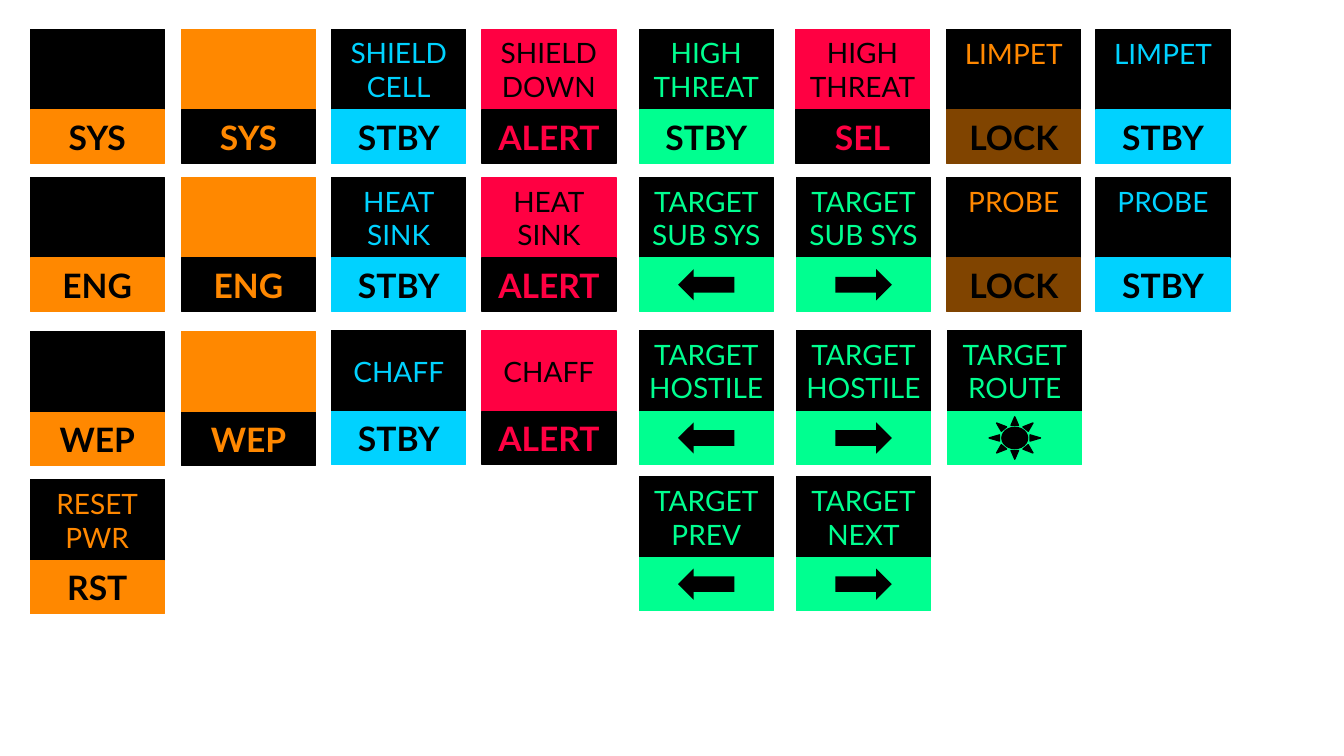
from pptx import Presentation
from pptx.dml.color import RGBColor
from pptx.enum import shapes, text
from pptx.util import Inches, Pt

HUES = {
    "black": "000000",
    "orange": "FF8800",
    "brown": "804400",
    "blue": "00D2FF",
    "red": "FF0042",
    "green": "00FF90",
}
FONT = "Lato"
WIDE, HEAD, FOOT = 1.33, 0.8, 0.53
KIND = shapes.MSO_SHAPE
ICONS = {
    "left": (KIND.LEFT_ARROW, 0.56, 0.31, 0, False),
    "right": (KIND.LEFT_ARROW, 0.56, 0.31, 180, False),
    "sun": (KIND.SUN, 0.51, 0.42, 0, True),
}

POWER_ROWS = (0.29, 1.76, 3.29, 4.76)
ROWS = (0.29, 1.76, 3.28, 4.73)

# head text, foot text or icon name
COLUMNS = [
    (0.3, POWER_ROWS, "black", "orange", "orange",
     [("", "SYS"), ("", "ENG"), ("", "WEP"), ("RESET\nPWR", "RST")]),
    (1.8, POWER_ROWS, "orange", "black", "black",
     [("", "SYS"), ("", "ENG"), ("", "WEP")]),
    (3.29, ROWS, "black", "blue", "blue",
     [("SHIELD\nCELL", "STBY"), ("HEAT\nSINK", "STBY"), ("CHAFF", "STBY")]),
    (4.78, ROWS, "red", "black", "black",
     [("SHIELD\nDOWN", "ALERT"), ("HEAT\nSINK", "ALERT"), ("CHAFF", "ALERT")]),
    (6.34, ROWS, "black", "green", "green",
     [("HIGH\nTHREAT", "STBY"), ("TARGET\nSUB SYS", "left"),
      ("TARGET\nHOSTILE", "left"), ("TARGET\nPREV", "left")]),
    (7.89, ROWS[:1], "red", "black", "black", [("HIGH\nTHREAT", "SEL")]),
    (7.9, ROWS[1:], "black", "green", "green",
     [("TARGET\nSUB SYS", "right"), ("TARGET\nHOSTILE", "right"),
      ("TARGET\nNEXT", "right")]),
    (9.39, ROWS, "black", "brown", "orange",
     [("LIMPET", "LOCK"), ("PROBE", "LOCK")]),
    (9.4, ROWS[2:], "black", "green", "green", [("TARGET\nROUTE", "sun")]),
    (10.87, ROWS, "black", "blue", "blue",
     [("LIMPET", "STBY"), ("PROBE", "STBY")]),
]
RAISED = ("LIMPET", "PROBE")


def paint(shape, hue, line=True):
    color = RGBColor.from_string(HUES[hue])
    shape.shadow.inherit = False
    shape.fill.solid()
    shape.fill.fore_color.rgb = color
    if line:
        shape.line.color.rgb = color
        shape.line.width = Pt(1)
    else:
        shape.line.fill.background()


def write(shape, words, size, hue, bold=False, raised=False):
    frame = shape.text_frame
    frame.word_wrap = True
    frame.margin_left = frame.margin_right = 0
    frame.vertical_anchor = text.MSO_ANCHOR.MIDDLE
    if raised:
        frame.vertical_anchor = text.MSO_ANCHOR.TOP
        frame.margin_top = Inches(0.07)
    para = frame.paragraphs[0]
    para.text = words.replace("\n", "\v")
    para.alignment = text.PP_ALIGN.CENTER
    for run in para.runs:
        run.font.name = FONT
        run.font.size = Pt(size)
        run.font.bold = bold
        run.font.color.rgb = RGBColor.from_string(HUES[hue])


def panel(group, x, y, high, hue):
    shape = group.shapes.add_shape(
        KIND.RECTANGLE, Inches(x), Inches(y), Inches(WIDE), Inches(high))
    paint(shape, hue)
    return shape


def icon(group, x, y, name):
    kind, wide, high, turn, line = ICONS[name]
    shape = group.shapes.add_shape(
        kind, Inches(x + (WIDE - wide) / 2), Inches(y + (FOOT - high) / 2),
        Inches(wide), Inches(high))
    shape.rotation = turn
    paint(shape, "black", line)


def button(slide, x, y, top, base, tone, label, state):
    group = slide.shapes.add_group_shape()
    head = panel(group, x, y, HEAD, top)
    foot = panel(group, x, y + HEAD, FOOT, base)
    if label:
        ink = tone if top == "black" else "black"
        write(head, label, 20, ink, raised=label in RAISED)
    if state in ICONS:
        icon(group, x, y + HEAD, state)
    else:
        ink = top if base == "black" else "black"
        write(foot, state, 24, ink, bold=True)


def main():
    deck = Presentation()
    deck.slide_width = Inches(13.33)
    deck.slide_height = Inches(7.5)
    slide = deck.slides.add_slide(deck.slide_layouts[6])
    for x, rows, top, base, tone, keys in COLUMNS:
        for y, (label, state) in zip(rows, keys):
            button(slide, x, y, top, base, tone, label, state)
    deck.save("out.pptx")


if __name__ == "__main__":
    main()
